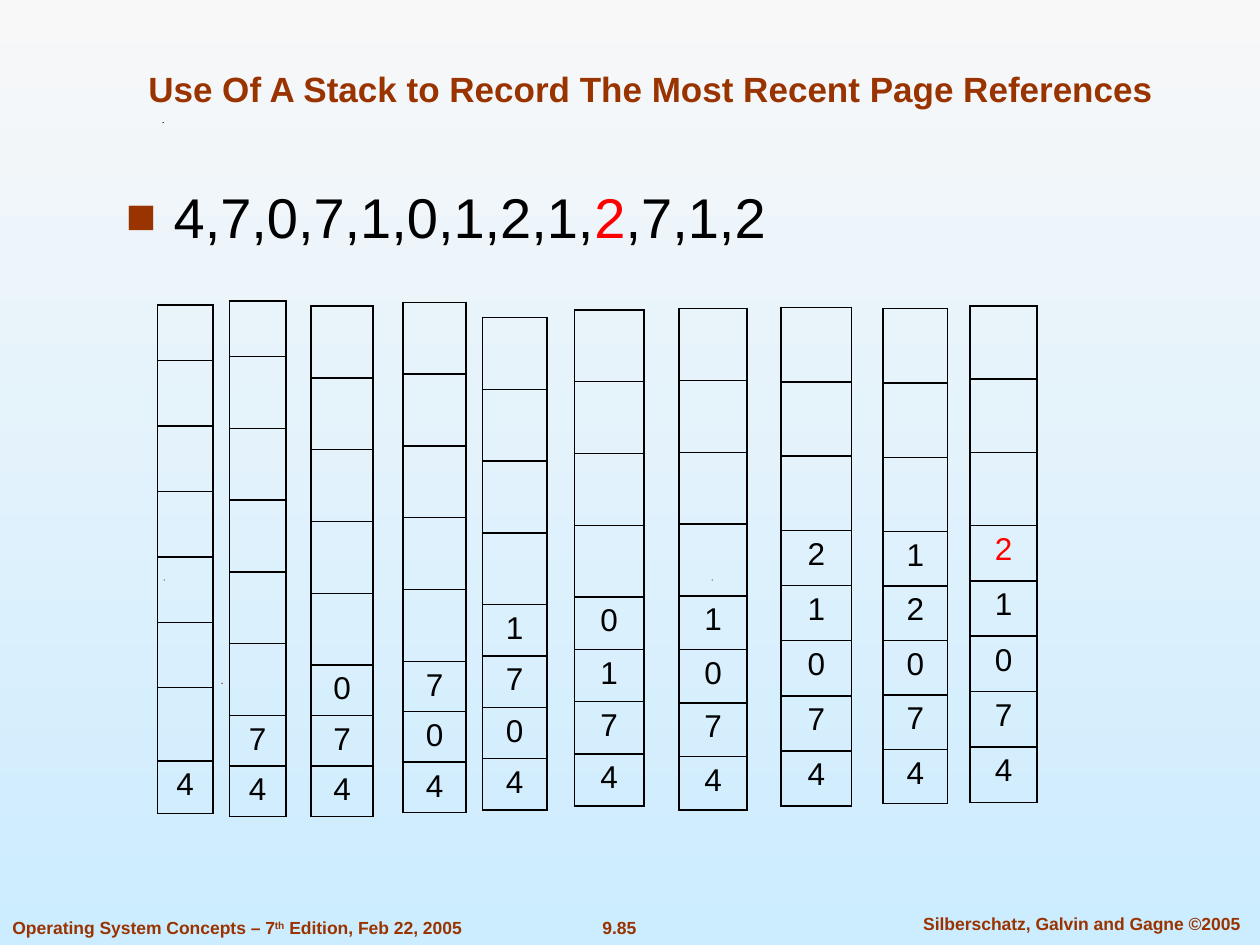
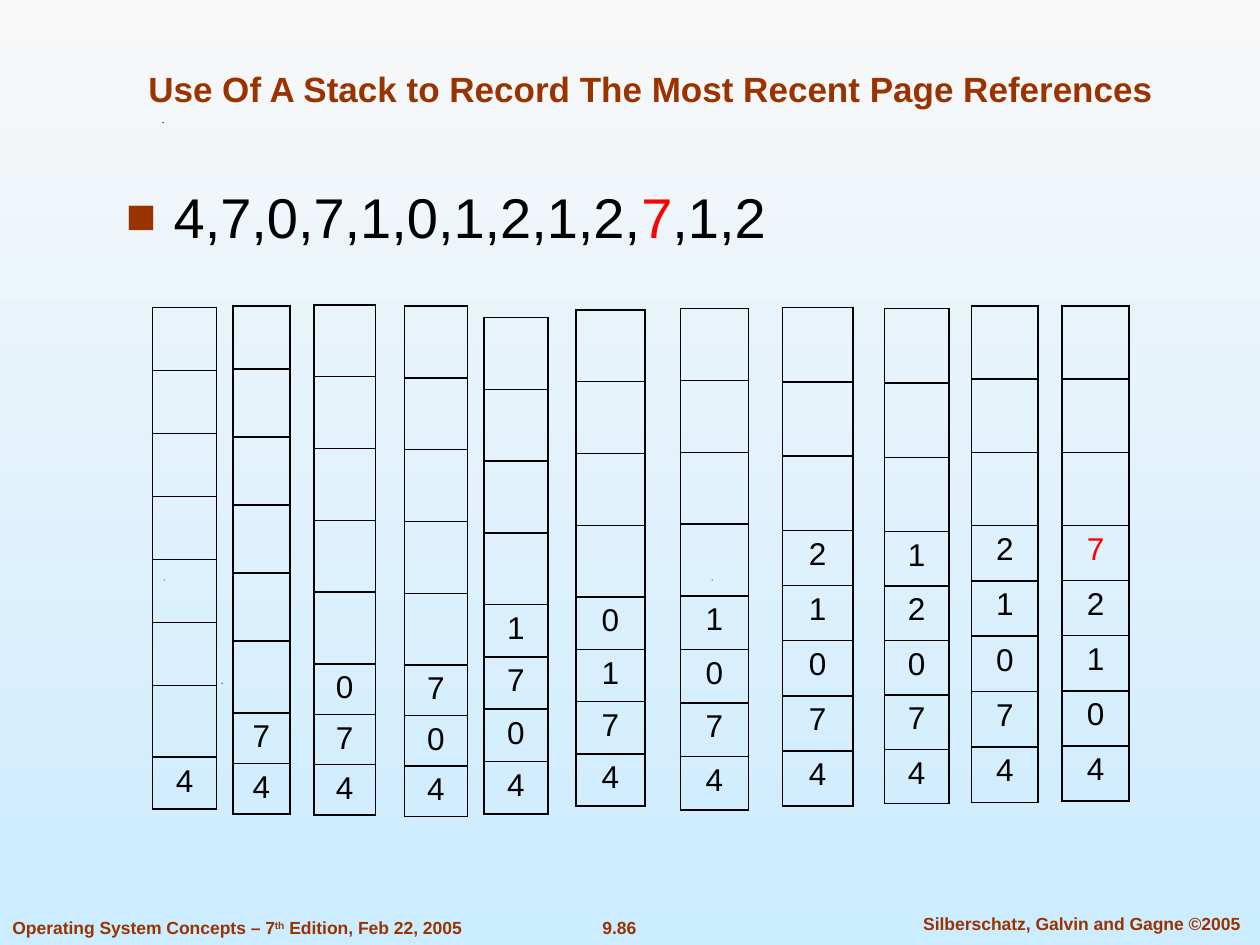
from lxml.etree import SubElement
from pptx import Presentation
from pptx.dml.color import RGBColor
from pptx.enum.text import MSO_ANCHOR, PP_ALIGN
from pptx.oxml.ns import qn
from pptx.util import Inches, Pt

RUST = RGBColor(0x99, 0x33, 0x00)
BLACK = RGBColor(0, 0, 0)
RED = RGBColor(0xFF, 0, 0)
PALE = RGBColor(0xF8, 0xF8, 0xF8)
SKY = RGBColor(0xCC, 0xEC, 0xFF)
FONT = "Arial"
TITLE = "Use Of A Stack to Record The Most Recent Page References"
REFS = "4,7,0,7,1,0,1,2,1,2,7,1,2"
SPECKS = [(1.76, 5.42), (1.3, 4.6), (5.65, 4.6), (1.29, 0.97)]

# left, top, width, height, heights of empty rows, values
SHARED = [
    (4.56, 2.46, 0.55, 3.94, [0.57] * 4, "0174"),
    (5.39, 2.45, 0.54, 3.98, [0.57] * 4, "1074"),
    (6.2, 2.44, 0.56, 3.96, [0.59] * 3, "21074"),
    (7.01, 2.45, 0.51, 3.93, [0.59] * 3, "12074"),
    (7.7, 2.43, 0.53, 3.94, [0.58] * 3, "21074"),
]
FIRST = [
    (1.25, 2.42, 0.44, 4.04, [0.44] + [0.52] * 5 + [0.58], "4"),
    (1.82, 2.39, 0.45, 4.08, [0.44] + [0.57] * 5, "74"),
    (2.47, 2.43, 0.49, 4.04, [0.57] * 5, "074"),
    (3.2, 2.4, 0.5, 4.04, [0.57] * 5, "704"),
    (3.83, 2.52, 0.51, 3.91, [0.57] * 4, "1704"),
]
NEXT = [
    (1.21, 2.44, 0.51, 3.98, [0.5] * 6 + [0.57], "4"),
    (1.85, 2.43, 0.45, 4.03, [0.5] + [0.54] * 4 + [0.57], "74"),
    (2.49, 2.42, 0.49, 4.05, [0.57] * 5, "074"),
    (3.21, 2.43, 0.5, 4.04, [0.57] * 5, "704"),
    (3.84, 2.52, 0.51, 3.94, [0.57] * 4, "1704"),
]
LAST = (8.43, 2.43, 0.53, 3.93, [0.58] * 3, "72104")


class Deck:
    def __init__(self):
        self.file = Presentation()
        self.file.slide_width = Inches(10)
        self.file.slide_height = Inches(7.5)
        self.slide = None

    def style(self, run, size, color, bold=False):
        font = run.font
        font.name, font.size, font.bold = FONT, Pt(size), bold
        font.color.rgb = color

    def text(self, box, parts, size, color, bold=False, align=PP_ALIGN.CENTER,
             wrap=True, space=0):
        shape = self.slide.shapes.add_textbox(*map(Inches, box))
        frame = shape.text_frame
        frame.word_wrap = wrap
        para = frame.paragraphs[0]
        para.alignment = align
        if space:
            gap = SubElement(para._p.get_or_add_pPr(), qn("a:spcBef"))
            SubElement(gap, qn("a:spcPct"), val=str(space * 1000))
        for part in parts:
            run = para.add_run()
            run.text = part
            self.style(run, size, color, bold)
        return frame

    def speck(self, left, top):
        x, y, side = Inches(left), Inches(top), Inches(0.01)
        path = self.slide.shapes.build_freeform(x, y + side)
        path.add_line_segments([(x + side, y), (x, y)])
        shape = path.convert_to_shape()
        shape.shadow.inherit = False
        shape.fill.solid()
        shape.fill.fore_color.rgb = BLACK
        shape.line.fill.background()

    def start(self, number):
        self.slide = self.file.slides.add_slide(self.file.slide_layouts[6])
        fill = self.slide.background.fill
        fill.gradient()
        fill.gradient_angle = 270
        for stop, color, place in zip(fill.gradient_stops, (PALE, SKY), (0, 1)):
            stop.color.rgb, stop.position = color, place
        self.text((4.67, 7.23, 0.49, 0.27), [number], 10, RUST, True,
                  wrap=False, space=50)
        self.text((7.1, 7.2, 2.97, 0.27), ["Silberschatz, Galvin and Gagne ©2005"],
                  10, RUST, True, space=50)
        foot = self.text((0, 7.23, 3.78, 0.27),
                         ["Operating System Concepts – 7", "th", " Edition, Feb 22, 2005"],
                         10, RUST, True, PP_ALIGN.LEFT, False, 50)
        foot.paragraphs[0].runs[1]._r.get_or_add_rPr().set("baseline", "30000")
        for spot in SPECKS:
            self.speck(*spot)
        head = self.text((0.75, 0.25, 8.83, 0.67), [TITLE], 20, RUST, True)
        head.vertical_anchor = MSO_ANCHOR.BOTTOM

    def refs(self, index):
        at = 2 * index
        frame = self.text((0.9, 1.4, 8.04, 0.73), [REFS[:at], REFS[at], REFS[at + 1:]],
                          32, BLACK, align=PP_ALIGN.LEFT, space=35)
        para = frame.paragraphs[0]
        para.runs[1].font.color.rgb = RED
        props = para._p.get_or_add_pPr()
        props.set("marL", str(Inches(0.38)))
        props.set("indent", str(Inches(-0.38)))
        tint = SubElement(props, qn("a:buClr"))
        SubElement(tint, qn("a:srgbClr"), val=str(RUST))
        SubElement(props, qn("a:buSzPct"), val="90000")
        SubElement(props, qn("a:buFont"), typeface=FONT)
        SubElement(props, qn("a:buChar"), char="■")

    def edge(self, cell):
        props = cell._tc.get_or_add_tcPr()
        for side in ("lnL", "lnR", "lnT", "lnB"):
            line = SubElement(props, qn("a:" + side), w=str(Pt(1)))
            fill = SubElement(line, qn("a:solidFill"))
            SubElement(fill, qn("a:srgbClr"), val=str(BLACK))

    def stack(self, left, top, width, height, gaps, values, shift=0, hot=False):
        size = (height - sum(gaps)) / len(values)
        rows = gaps + [size] * len(values)
        box = map(Inches, (left + shift, top, width, height))
        table = self.slide.shapes.add_table(len(rows), 1, *box).table
        table.first_row = table.horz_banding = False
        for index, tall in enumerate(rows):
            table.rows[index].height = Inches(tall)
            cell = table.cell(index, 0)
            self.edge(cell)
            cell.fill.background()
            place = index - len(gaps)
            if place >= 0:
                cell.text_frame.text = values[place]
                para = cell.text_frame.paragraphs[0]
                para.alignment = PP_ALIGN.CENTER
                color = RED if hot and place == 0 else BLACK
                self.style(para.runs[0], 18, color)


def main():
    deck = Deck()
    plans = [("9.85", 9, FIRST + SHARED, 0), ("9.86", 10, NEXT + SHARED + [LAST], 0.01)]
    for number, index, stacks, shift in plans:
        deck.start(number)
        deck.refs(index)
        for item in stacks:
            deck.stack(*item, shift=shift if item in SHARED else 0,
                       hot=item is stacks[-1])
    deck.file.save("out.pptx")


if __name__ == "__main__":
    main()
